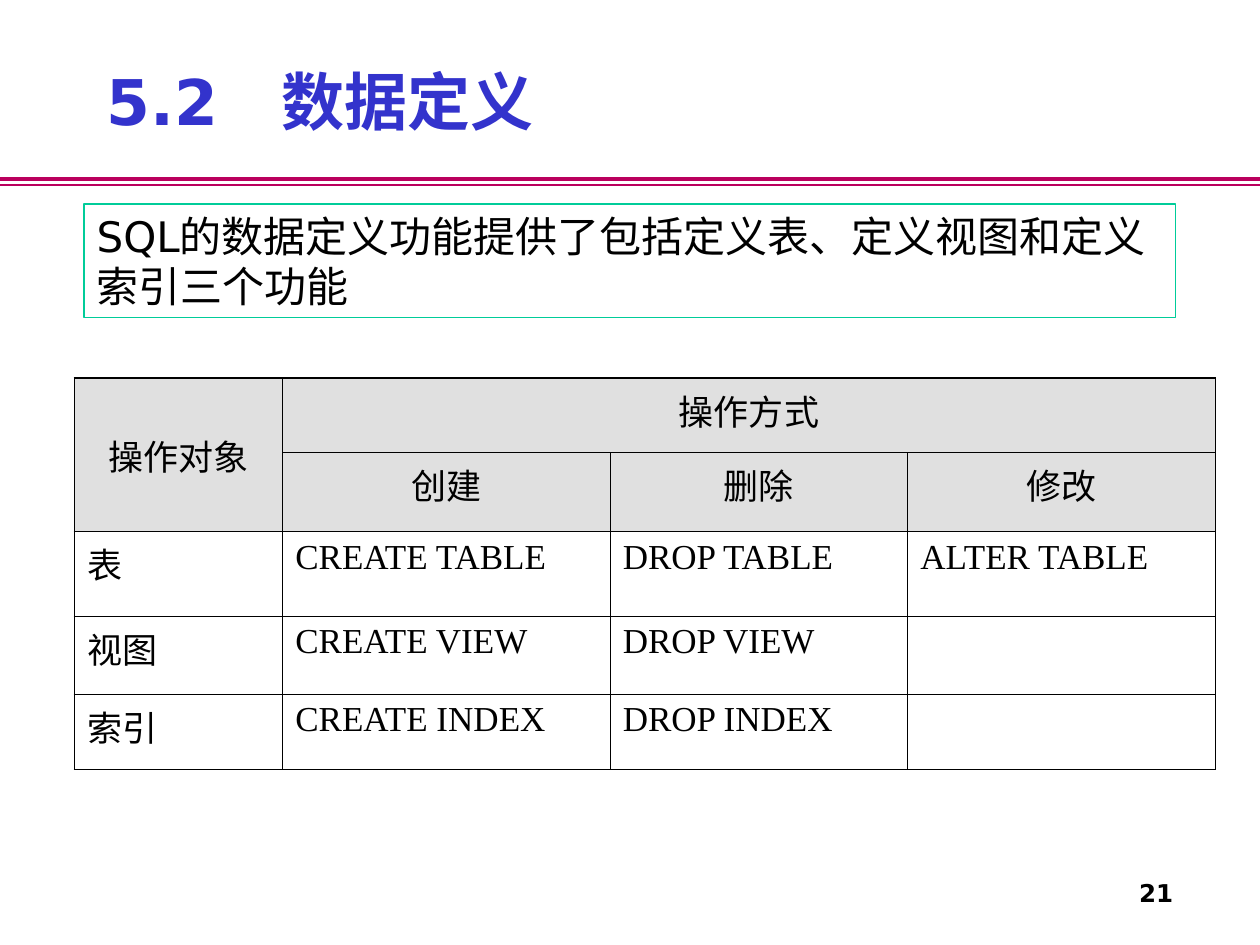
"""Build the slide on SQL data definition with its table of statements."""
from lxml.etree import SubElement
from pptx import Presentation
from pptx.dml.color import RGBColor
from pptx.enum.shapes import MSO_CONNECTOR, MSO_SHAPE
from pptx.enum.text import MSO_ANCHOR, PP_ALIGN
from pptx.oxml import parse_xml
from pptx.oxml.ns import nsdecls, qn
from pptx.util import Cm, Pt

TITLE = "5.2　数据定义"
INTRO = "SQL的数据定义功能提供了包括定义表、定义视图和定义索引三个功能"
NUMBER = "21"
ROWS = [
    ["操作对象", "操作方式", "", ""],
    ["", "创建", "删除", "修改"],
    ["表", "CREATE TABLE", "DROP TABLE", "ALTER TABLE"],
    ["视图", "CREATE VIEW", "DROP VIEW", ""],
    ["索引", "CREATE INDEX", "DROP INDEX", ""],
]
HEADS = 2
WIDTHS = [4.2, 6.6, 6, 6.2]
HEIGHTS = [1.5, 1.6, 1.7, 1.57, 1.52]
RULES = [(3.61, 2.25), (3.73, 1)]
THIN, THICK = 0.45, 0.96
COLORS = {"title": "3333CC", "rule": "BA005D", "box": "00CC99",
          "head": "E0E0E0", "ink": "000000"}
SANS, SERIF = "DejaVu Sans", "Times New Roman"


def color(name):
    return RGBColor.from_string(COLORS[name])


def write(frame, text, size=20, font=SANS, ink="ink", bold=False,
          align=PP_ALIGN.LEFT, anchor=MSO_ANCHOR.TOP):
    frame.word_wrap = True
    frame.vertical_anchor = anchor
    para = frame.paragraphs[0]
    para.alignment = align
    run = para.add_run()
    run.text = text
    run.font.size = Pt(size)
    run.font.name = font
    run.font.bold = bold
    run.font.color.rgb = color(ink)


def add_text(slide, place, text, **form):
    box = slide.shapes.add_textbox(*map(Cm, place))
    write(box.text_frame, text, **form)


def add_rule(slide, top, width):
    line = slide.shapes.add_connector(
        MSO_CONNECTOR.STRAIGHT, 0, Cm(top), Cm(25.4), Cm(top))
    line.line.color.rgb = color("rule")
    line.line.width = Pt(width)
    SubElement(line._element.spPr, qn("a:effectLst"))


def add_edges(cell, outer):
    props = cell._tc.get_or_add_tcPr()
    for spot, (side, thick) in enumerate(outer.items()):
        width = Pt(THICK if thick else THIN)
        props.insert(spot, parse_xml(
            f'<a:ln{side} {nsdecls("a")} w="{width}"><a:solidFill>'
            f'<a:srgbClr val="{COLORS["ink"]}"/></a:solidFill></a:ln{side}>'))


def add_grid(slide):
    table = slide.shapes.add_table(
        len(ROWS), len(WIDTHS), Cm(1.5), Cm(7.62),
        Cm(sum(WIDTHS)), Cm(sum(HEIGHTS))).table
    table.first_row = table.horz_banding = False
    for col, width in zip(table.columns, WIDTHS):
        col.width = Cm(width)
    for row, height in zip(table.rows, HEIGHTS):
        row.height = Cm(height)
    table.cell(0, 0).merge(table.cell(1, 0))
    table.cell(0, 1).merge(table.cell(0, 3))
    for r, row in enumerate(ROWS):
        for c, text in enumerate(row):
            cell = table.cell(r, c)
            head = r < HEADS
            if head:
                cell.fill.solid()
                cell.fill.fore_color.rgb = color("head")
            else:
                cell.fill.background()
            add_edges(cell, {"L": c == 0, "R": c == len(WIDTHS) - 1,
                             "T": r == 0, "B": r == len(ROWS) - 1})
            if text:
                write(cell.text_frame, text, font=SERIF,
                      align=PP_ALIGN.CENTER if head else PP_ALIGN.LEFT)
    table.cell(0, 0).vertical_anchor = MSO_ANCHOR.MIDDLE


def add_intro(slide):
    box = slide.shapes.add_shape(
        MSO_SHAPE.RECTANGLE, Cm(1.7), Cm(4.11), Cm(22), Cm(2.29))
    box.shadow.inherit = False
    box.fill.background()
    box.line.color.rgb = color("box")
    box.line.width = Pt(1)
    write(box.text_frame, INTRO, size=24)


def main():
    deck = Presentation()
    deck.slide_width, deck.slide_height = Cm(25.4), Cm(19.05)
    slide = deck.slides.add_slide(deck.slide_layouts[6])
    for top, width in RULES:
        add_rule(slide, top, width)
    add_text(slide, (1.9, 0.43, 21.6, 3.18), TITLE, size=36, ink="title",
             bold=True, anchor=MSO_ANCHOR.MIDDLE)
    add_grid(slide)
    add_intro(slide)
    add_text(slide, (22.42, 17.58, 1.48, 0.85), NUMBER, size=14, bold=True,
             align=PP_ALIGN.RIGHT, anchor=MSO_ANCHOR.MIDDLE)
    deck.save("out.pptx")


if __name__ == "__main__":
    main()
